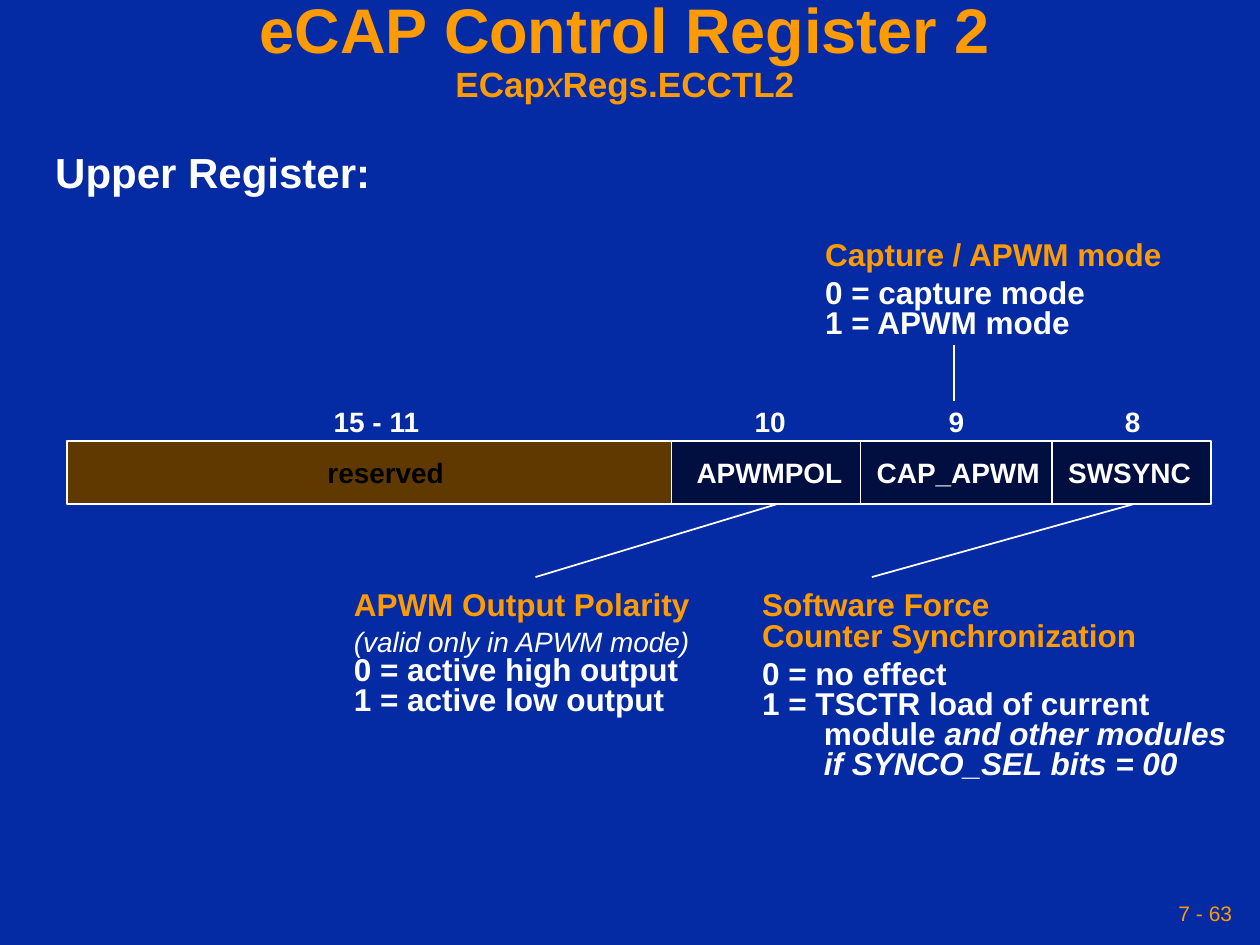
from copy import deepcopy

from pptx import Presentation
from pptx.dml.color import RGBColor
from pptx.enum.shapes import MSO_CONNECTOR, MSO_SHAPE
from pptx.enum.text import MSO_ANCHOR, MSO_AUTO_SIZE, PP_ALIGN
from pptx.oxml.ns import qn
from pptx.util import Inches, Pt
from lxml import etree

BLUE = RGBColor(0x04, 0x2A, 0xA4)
NAVY = RGBColor(0x00, 0x0F, 0x40)
BROWN = RGBColor(0x60, 0x39, 0x00)
ORANGE = RGBColor(0xFE, 0x9B, 0x03)
WHITE = RGBColor(0xFF, 0xFF, 0xFF)
BLACK = RGBColor(0x00, 0x00, 0x00)
RECTANGLE = MSO_SHAPE.RECTANGLE
STRAIGHT = MSO_CONNECTOR.STRAIGHT
TOP, MIDDLE = MSO_ANCHOR.TOP, MSO_ANCHOR.MIDDLE
LEFT, CENTER, RIGHT = PP_ALIGN.LEFT, PP_ALIGN.CENTER, PP_ALIGN.RIGHT
FIXED_SIZE, FIT_TEXT = MSO_AUTO_SIZE.NONE, MSO_AUTO_SIZE.SHAPE_TO_FIT_TEXT

# Content: title spans are (text, format)
TITLE = "eCAP Control Register 2"
REGISTER_NAME = [("ECap", {}), ("x", dict(bold=False, italic=True)), ("Regs.ECCTL2", {})]

# Register row: bars are (left, right, fill)
ROW_TOP, ROW_BOTTOM = 3.5, 4.0
BARS = [(5.33, 9.61, NAVY), (0.53, 5.33, BROWN)]
DIVIDERS = [6.83, 8.35]

# Fields: (bits, bits left, bits width, name, name left, name width, colour)
FIELDS = [
    ("15 - 11", 2.55, 0.89, "reserved", 2.5, 1.12, BLACK),
    ("10", 5.89, 0.44, "APWMPOL", 5.43, 1.36, WHITE),
    ("9", 7.43, 0.32, "CAP_APWM", 6.86, 1.49, WHITE),
    ("8", 8.83, 0.32, "SWSYNC", 8.38, 1.17, WHITE),
]

# Callouts: position and paragraphs of (spans, paragraph format)
HEADING = dict(color=ORANGE)
LAST_HEADING = dict(color=ORANGE, after=4.5)
CALLOUTS = [
    ((6.45, 1.87, 2.88, 0.89), [
        ("Capture / APWM mode", LAST_HEADING),
        ("0 = capture mode", {}),
        ("1 = APWM mode", {}),
    ]),
    ((2.71, 4.65, 2.87, 1.1), [
        ("APWM Output Polarity", LAST_HEADING),
        ("(valid only in APWM mode)", dict(size=16, bold=False, italic=True)),
        ("0 = active high output", {}),
        ("1 = active low output", {}),
    ]),
    ((5.95, 4.65, 3.88, 1.61), [
        ("Software Force", HEADING),
        ("Counter Synchronization", LAST_HEADING),
        ("0 = no effect", {}),
        ("1 = TSCTR load of current", {}),
        ([("module ", {}), ("and other modules", dict(italic=True))], dict(indent=0.49)),
        ("if SYNCO_SEL bits = 00", dict(indent=0.49, italic=True)),
    ]),
]
LEADERS = [
    (7.57, 2.74, 7.57, 3.18),
    (6.17, ROW_BOTTOM, 4.25, 4.58),
    (9.0, ROW_BOTTOM, 6.92, 4.58),
]


def add_span(paragraph, text, size=18, color=WHITE, bold=True, italic=False):
    span = paragraph.add_run()
    span.text = text
    font = span.font
    font.name, font.size, font.bold, font.italic = "Arial", Pt(size), bold, italic
    font.color.rgb = color


def fill_paragraph(paragraph, content, align=LEFT, spacing=0.8, after=0, indent=0, **style):
    paragraph.alignment = align
    paragraph.line_spacing = spacing
    paragraph.space_before = Pt(0)
    paragraph.space_after = Pt(after)
    if indent:
        paragraph._p.get_or_add_pPr().set("marL", str(Inches(indent)))
    spans = [(content, {})] if isinstance(content, str) else content
    for text, changes in spans:
        add_span(paragraph, text, **{**style, **changes})


def add_text(page, position, paragraphs, anchor=TOP):
    box = page.shapes.add_textbox(*map(Inches, position))
    frame = box.text_frame
    frame.word_wrap = False
    frame.auto_size = FIT_TEXT
    frame.vertical_anchor = anchor
    # A narrow right margin leaves each line room to stay whole
    frame.margin_right = Inches(0.02)
    for index, (content, style) in enumerate(paragraphs):
        paragraph = frame.add_paragraph() if index else frame.paragraphs[0]
        fill_paragraph(paragraph, content, **style)
    return box


def fix_frame(frame, margin):
    frame.word_wrap = True
    frame.auto_size = FIXED_SIZE
    frame.vertical_anchor = MIDDLE
    frame.margin_left = frame.margin_right = Inches(margin)
    frame.margin_top = frame.margin_bottom = Inches(margin)


def add_line(page, *ends):
    line = page.shapes.add_connector(STRAIGHT, *map(Inches, ends))
    line.line.color.rgb = WHITE
    line.line.width = Pt(1)
    etree.SubElement(line._element.spPr, qn("a:effectLst"))


def add_bar(page, left, right, color):
    bar = page.shapes.add_shape(
        RECTANGLE, Inches(left), Inches(ROW_TOP),
        Inches(right - left), Inches(ROW_BOTTOM - ROW_TOP))
    bar.shadow.inherit = False
    bar.fill.solid()
    bar.fill.fore_color.rgb = color
    bar.line.color.rgb = WHITE
    bar.line.width = Pt(1)


def add_title(page):
    title = page.shapes.title
    title.left, title.top = Inches(0), Inches(0)
    title.width, title.height = Inches(9.92), Inches(0.83)
    fix_frame(title.text_frame, 0.05)
    paragraph = title.text_frame.paragraphs[0]
    fill_paragraph(paragraph, TITLE, align=CENTER, spacing=0.9, size=36, color=ORANGE)
    # The line break takes the size of the first line
    paragraph.add_line_break()
    paragraph._p.find(qn("a:br")).append(deepcopy(paragraph.runs[0]._r.rPr))
    for text, changes in REGISTER_NAME:
        add_span(paragraph, text, size=20, color=ORANGE, **changes)


def main():
    deck = Presentation()
    deck.slide_width, deck.slide_height = Inches(10), Inches(7.5)
    page = deck.slides.add_slide(deck.slide_layouts[5])
    page.background.fill.solid()
    page.background.fill.fore_color.rgb = BLUE

    # Headings and page number
    add_title(page)
    add_text(page, (0.34, 1.19, 2.7, 0.42), [("Upper Register:", dict(size=24))])
    number = add_text(
        page, (6.83, 7.08, 3, 0.33),
        [("7 - 63", dict(size=12, color=ORANGE, bold=False, align=RIGHT, spacing=1.0))])
    fix_frame(number.text_frame, 0.05)

    # Register row
    for bar in BARS:
        add_bar(page, *bar)
    for x in DIVIDERS:
        add_line(page, x, ROW_TOP, x, ROW_BOTTOM)
    for bits, bits_left, bits_width, name, name_left, name_width, color in FIELDS:
        add_text(page, (bits_left, 3.21, bits_width, 0.32), [(bits, dict(size=16))])
        add_text(page, (name_left, 3.62, name_width, 0.32),
                 [(name, dict(size=16, color=color))])

    # Callouts and their leader lines
    for position, paragraphs in CALLOUTS:
        add_text(page, position, paragraphs, anchor=MIDDLE)
    for leader in LEADERS:
        add_line(page, *leader)

    deck.save("out.pptx")


if __name__ == "__main__":
    main()
